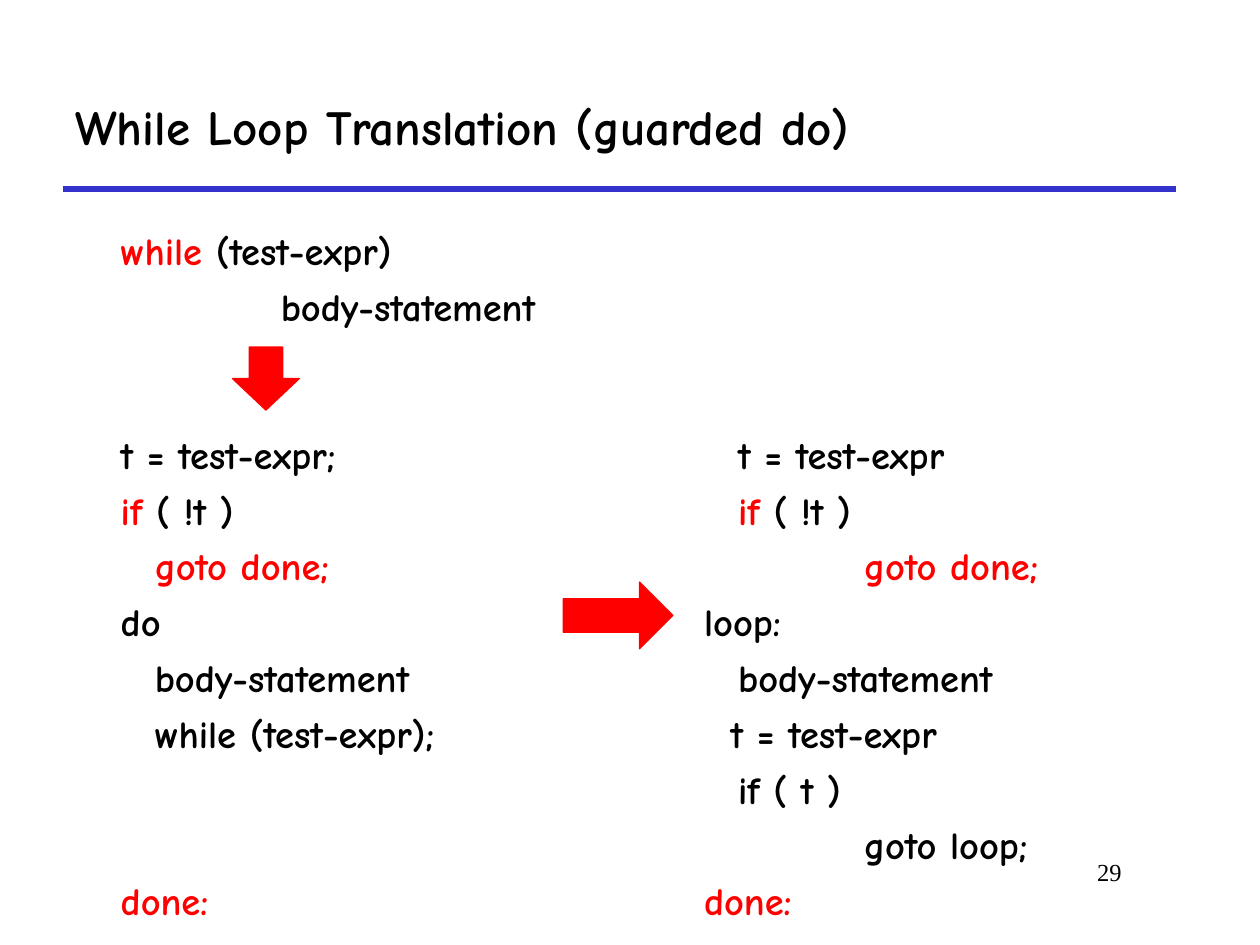
"""Build a slide that translates a while loop into guarded goto code."""
from lxml.etree import SubElement
from pptx import Presentation
from pptx.dml.color import RGBColor
from pptx.enum.shapes import MSO_CONNECTOR as Connector, MSO_SHAPE as Shape
from pptx.enum.text import MSO_ANCHOR as Anchor, PP_ALIGN as Align
from pptx.oxml.ns import qn
from pptx.util import Inches, Pt

COLORS = {"text": "000000", "keyword": "FF0000", "rule": "3333CC"}
CODE_FONT = {"name": "Comic Neue", "size": Pt(22), "bold": True}
TITLE_FONT = {**CODE_FONT, "size": Pt(28)}
NUMBER_FONT = {"name": "Times New Roman", "size": Pt(14), "bold": False}
INDENTS = {"label": 0.11, "assign": 0.32, "step": 0.38, "nested": 1.38}
LINE_GAP = 5.5
TWO_LINE_GAP = 69

SOURCE_CODE = [
    ("label", [("while", "keyword"), (" (test-expr)", "text")]),
    ("nested", [("body-statement", "text")]),
]
GUARDED_CODE = [
    ("label", [("t = test-expr;", "text")]),
    ("label", [("if ", "keyword"), ("( !t )", "text")]),
    ("step", [("goto done;", "keyword")]),
    ("label", [("do", "text")]),
    ("step", [("body-statement", "text")]),
    ("step", [("while (test-expr);", "text")]),
    ("label", [("done:", "keyword")], TWO_LINE_GAP),
]
GOTO_CODE = [
    ("step", [("t = test-expr", "text")]),
    ("step", [("if ", "keyword"), ("( !t )", "text")]),
    ("nested", [("goto done;", "keyword")]),
    ("label", [("loop:", "text")]),
    ("step", [("body-statement", "text")]),
    ("assign", [("t = test-expr", "text")]),
    ("step", [("if ( t )", "text")]),
    ("nested", [("goto loop;", "text")]),
    ("label", [("done:", "keyword")]),
]


def rgb(name):
    return RGBColor.from_string(COLORS[name])


def add_run(paragraph, text, color, font):
    run = paragraph.add_run()
    run.text = text
    for attribute, value in font.items():
        setattr(run.font, attribute, value)
    run.font.color.rgb = rgb(color)


def add_text_frame(slide, box, anchor=Anchor.TOP):
    frame = slide.shapes.add_textbox(*map(Inches, box)).text_frame
    frame.word_wrap = True
    frame.vertical_anchor = anchor
    return frame


def add_line_of_text(slide, box, text, font, align=Align.LEFT, anchor=Anchor.TOP):
    paragraph = add_text_frame(slide, box, anchor).paragraphs[0]
    paragraph.alignment = align
    add_run(paragraph, text, "text", font)


def add_code(slide, box, lines):
    frame = add_text_frame(slide, box)
    for index, (indent, runs, *gap) in enumerate(lines):
        paragraph = frame.add_paragraph() if index else frame.paragraphs[0]
        paragraph.space_before = Pt(gap[0] if gap else LINE_GAP)
        properties = paragraph._p.get_or_add_pPr()
        properties.set("marL", str(Inches(INDENTS[indent])))
        properties.set("indent", "0")
        for text, color in runs:
            add_run(paragraph, text, color, CODE_FONT)


def add_rule(slide, left, right, top):
    ends = map(Inches, (left, top, right, top))
    rule = slide.shapes.add_connector(Connector.STRAIGHT, *ends)
    rule.line.color.rgb = rgb("rule")
    rule.line.width = Pt(3)
    SubElement(rule._element.spPr, qn("a:effectLst"))


def add_arrow(slide, box, rotation=0):
    arrow = slide.shapes.add_shape(Shape.RIGHT_ARROW, *map(Inches, box))
    arrow.rotation = rotation
    arrow.shadow.inherit = False
    arrow.fill.solid()
    arrow.fill.fore_color.rgb = rgb("keyword")
    arrow.line.color.rgb = rgb("keyword")
    arrow.line.width = Pt(0.75)


def main():
    presentation = Presentation()
    presentation.slide_width = Inches(10)
    presentation.slide_height = Inches(7.5)
    slide = presentation.slides.add_slide(presentation.slide_layouts[6])
    add_rule(slide, 0.5, 9.33, 1.5)
    add_line_of_text(slide, (7.58, 6.75, 1.42, 0.5), "29", NUMBER_FONT, align=Align.RIGHT)
    add_line_of_text(slide, (0.5, 0.5, 8.83, 1), "While Loop Translation (guarded do)",
                     TITLE_FONT, anchor=Anchor.MIDDLE)
    add_code(slide, (0.75, 1.75, 3.75, 1.25), SOURCE_CODE)
    add_code(slide, (0.75, 3.37, 4.08, 3.81), GUARDED_CODE)
    add_code(slide, (5.38, 3.37, 3.75, 4.05), GOTO_CODE)
    add_arrow(slide, (4.47, 4.62, 0.87, 0.53))
    add_arrow(slide, (1.86, 2.74, 0.5, 0.53), rotation=90)
    presentation.save("out.pptx")


if __name__ == "__main__":
    main()
